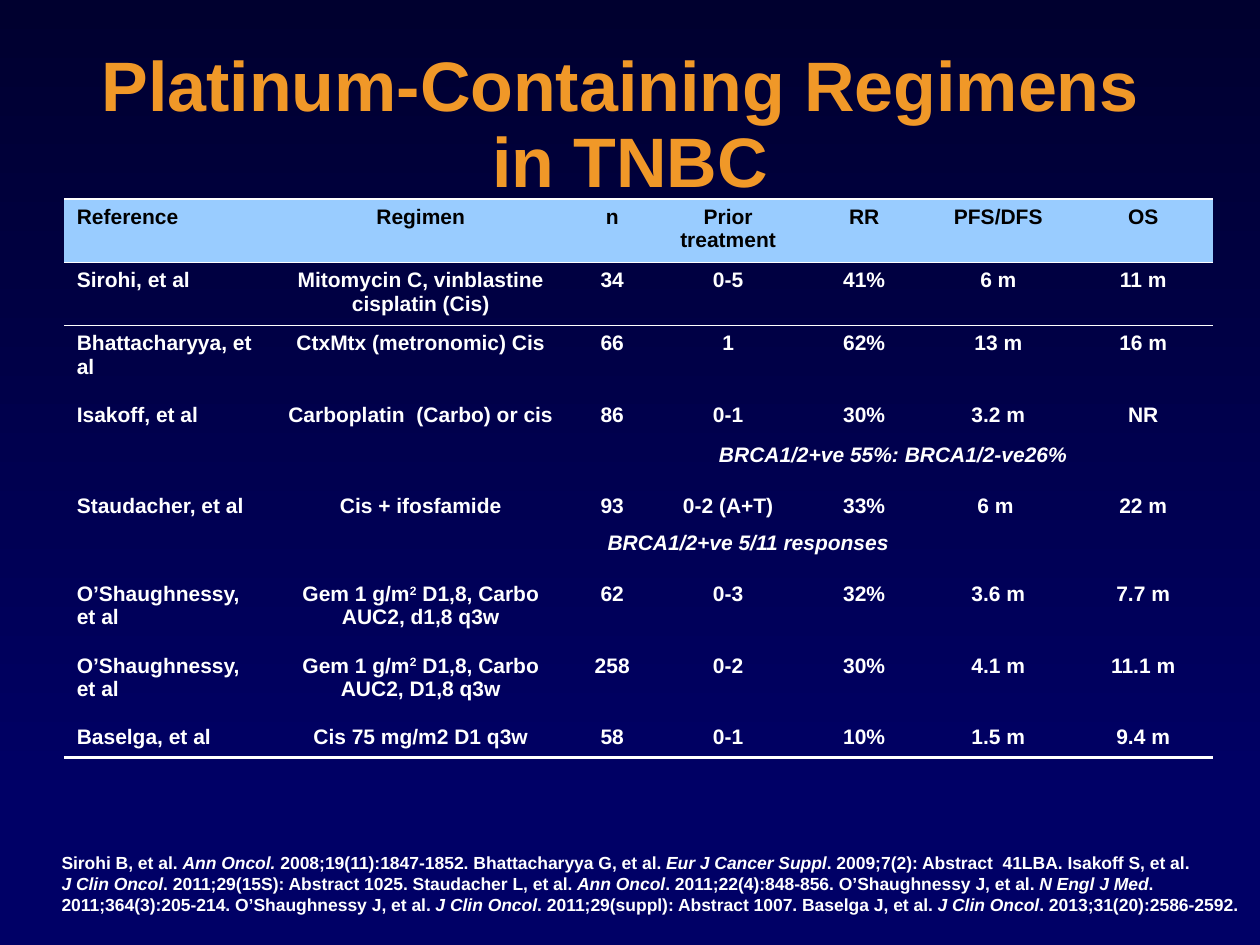
from lxml import etree
from pptx import Presentation
from pptx.dml.color import RGBColor
from pptx.enum.shapes import MSO_SHAPE
from pptx.enum.text import MSO_ANCHOR, PP_ALIGN
from pptx.oxml.ns import qn
from pptx.util import Inches, Pt

RECT = MSO_SHAPE.RECTANGLE
MIDDLE = MSO_ANCHOR.MIDDLE
LEFT, CENTER = PP_ALIGN.LEFT, PP_ALIGN.CENTER

NIGHT = RGBColor(0x00, 0x00, 0x2F)
NAVY = RGBColor(0x00, 0x00, 0x66)
ORANGE = RGBColor(0xF0, 0x98, 0x28)
SKY = RGBColor(0x99, 0xCC, 0xFF)
WHITE = RGBColor(0xFF, 0xFF, 0xFF)
BLACK = RGBColor(0x00, 0x00, 0x00)

NO_GRID = "{2D5ABB26-0587-4C30-8999-92F81FD0307C}"
THICK, THIN = 1.47, 0.45


def write(par, text, size, color):
    """Fill a paragraph: *italic*, ^superscript^, newline for a line break."""
    form = {"name": "Arial", "size": Pt(size), "bold": True}
    for i, part in enumerate(text.split("*")):
        for j, bit in enumerate(part.split("^")):
            for k, line in enumerate(bit.split("\n")):
                if k:
                    par.add_line_break()
                if not line:
                    continue
                run = par.add_run()
                run.text = line
                for key, value in form.items():
                    setattr(run.font, key, value)
                run.font.color.rgb = color
                if i % 2:
                    run.font.italic = True
                if j % 2:
                    run.font._element.set("baseline", "30000")


def border(cell, tag, width):
    """Draw one white edge of a cell."""
    line = etree.Element(qn("a:" + tag), w=str(Pt(width)))
    fill = etree.SubElement(line, qn("a:solidFill"))
    etree.SubElement(fill, qn("a:srgbClr"), val=str(WHITE))
    props = cell._tc.get_or_add_tcPr()
    props.insert(1 if props.find(qn("a:lnT")) is not None else 0, line)


prs = Presentation()
prs.slide_width, prs.slide_height = Inches(10), Inches(7.5)
slide = prs.slides.add_slide(prs.slide_layouts[6])
shapes = slide.shapes

# Background
slide.background.fill.solid()
slide.background.fill.fore_color.rgb = NAVY
shade = shapes.add_shape(RECT, 0, 0, Inches(10), Inches(6.42))
shade.shadow.inherit = False
shade.line.fill.background()
shade.fill.gradient()
shade.fill.gradient_angle = 270
for stop, color, place in zip(shade.fill.gradient_stops, (NIGHT, NAVY), (0, 1)):
    stop.color.rgb = color
    stop.position = place

# Title with a text shadow
title = shapes.add_textbox(0, Inches(0.38), Inches(10), Inches(1.25)).text_frame
title.word_wrap = True
title.vertical_anchor = MIDDLE
par = title.paragraphs[0]
par.alignment = CENTER
par.line_spacing = 0.9
write(par, "Platinum-Containing Regimens \nin TNBC", 40, ORANGE)
for run in par.runs:
    effects = etree.Element(qn("a:effectLst"))
    glow = etree.SubElement(effects, qn("a:outerShdw"),
                            dist=str(Pt(3)), dir="2700000", algn="tl")
    etree.SubElement(glow, qn("a:srgbClr"), val=str(BLACK))
    run.font._element.find(qn("a:solidFill")).addnext(effects)

# Table of trials
rows = [
    ["Reference", "Regimen", "n", "Prior treatment", "RR", "PFS/DFS", "OS"],
    ["Sirohi, et al", "Mitomycin C, vinblastine cisplatin (Cis)", "34", "0-5",
     "41%", "6 m", "11 m"],
    ["Bhattacharyya, et al", "CtxMtx (metronomic) Cis", "66", "1", "62%",
     "13 m", "16 m"],
    ["Isakoff, et al", "Carboplatin  (Carbo) or cis", "86", "0-1", "30%",
     "3.2 m", "NR"],
    ["", "", "*BRCA1/2+ve 55%: BRCA1/2-ve26%*", "", "", "", ""],
    ["Staudacher, et al", "Cis + ifosfamide", "93", "0-2 (A+T)", "33%",
     "6 m ", "22 m"],
    ["", "", "*BRCA1/2+ve 5/11 responses*", "", "", "", ""],
    ["O’Shaughnessy, et al", "Gem 1 g/m^2^ D1,8, Carbo AUC2, d1,8 q3w", "62",
     "0-3", "32%", "3.6 m", "7.7 m"],
    ["O’Shaughnessy, et al", "Gem 1 g/m^2^ D1,8, Carbo AUC2, D1,8 q3w", "258",
     "0-2", "30%", "4.1 m", "11.1 m"],
    ["Baselga, et al", "Cis 75 mg/m2 D1 q3w", "58", "0-1", "10%", "1.5 m",
     "9.4 m"],
]
widths = [1.62, 2.42, 0.62, 1.22, 0.94, 1.19, 1.11]
heights = [0.5, 0.5, 0.57, 0.32, 0.33, 0.3, 0.33, 0.57, 0.57, 0.3]
edges = {0: {"lnT": THICK, "lnB": THIN}, 1: {"lnT": THIN},
         len(rows) - 1: {"lnB": THICK}}

frame = shapes.add_table(len(rows), len(widths), Inches(0.51), Inches(1.58),
                         Inches(9.11), Inches(4.29))
table = frame.table
table.horz_banding = False
table._tbl.tblPr.find(qn("a:tableStyleId")).text = NO_GRID
for col, width in zip(table.columns, widths):
    col.width = Inches(width)
for r, (row, height) in enumerate(zip(rows, heights)):
    table.rows[r].height = Inches(height)
    for c, text in enumerate(row):
        cell = table.cell(r, c)
        if r == 0:
            cell.fill.solid()
            cell.fill.fore_color.rgb = SKY
        else:
            cell.fill.background()
        for tag, width in edges.get(r, {}).items():
            border(cell, tag, width)
        par = cell.text_frame.paragraphs[0]
        par.alignment = CENTER if c else LEFT
        write(par, text, 12, WHITE if r else BLACK)

# Notes that run across columns
for r, last in ((4, 6), (6, 4)):
    table.cell(r, 2).merge(table.cell(r, last))

# References
notes = shapes.add_textbox(Inches(0.39), Inches(6.71), Inches(9.56), Inches(0.6))
notes.text_frame.word_wrap = True
write(notes.text_frame.paragraphs[0],
      "Sirohi B, et al. *Ann Oncol.* 2008;19(11):1847-1852. "
      "Bhattacharyya G, et al. *Eur J Cancer Suppl*. 2009;7(2): Abstract  41LBA. "
      "Isakoff S, et al. \n*J Clin Oncol*. 2011;29(15S): Abstract 1025. "
      "Staudacher L, et al. *Ann Oncol*. 2011;22(4):848-856. "
      "O’Shaughnessy J, et al. *N Engl J Med*. 2011;364(3):205-214. "
      "O’Shaughnessy J, et al. *J Clin Oncol*. 2011;29(suppl): Abstract 1007. "
      "Baselga J, et al. *J Clin Oncol*. 2013;31(20):2586-2592.", 10, WHITE)

prs.save("out.pptx")
